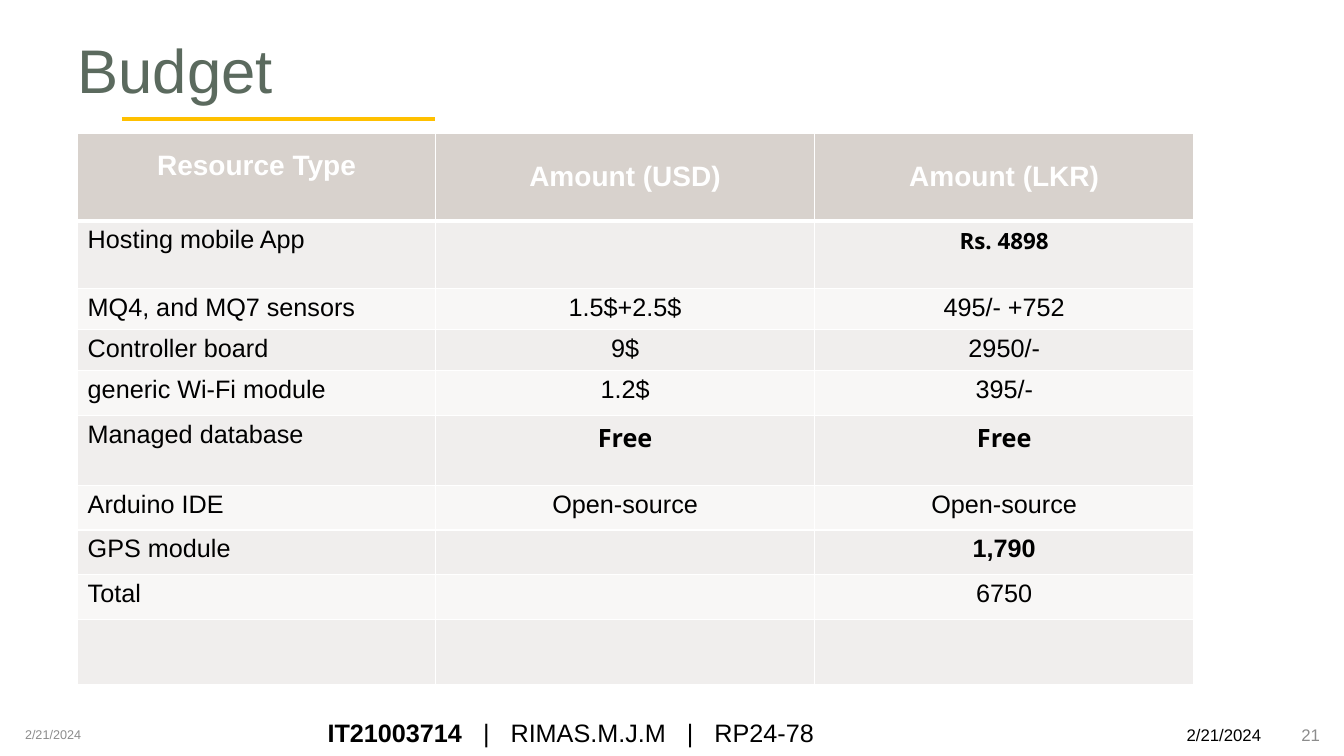
"""Build the budget slide with its cost table and footer."""
from dataclasses import dataclass

from lxml.etree import SubElement
from pptx import Presentation
from pptx.dml.color import RGBColor as RGB
from pptx.enum.shapes import MSO_CONNECTOR as Connector
from pptx.enum.text import MSO_ANCHOR as Anchor, PP_ALIGN as Align
from pptx.oxml.ns import qn
from pptx.util import Inches, Pt


@dataclass(frozen=True)
class Theme:
    font: str = "Arial"
    accent_font: str = "Open Sans"
    title: str = "5B6A5E"
    ink: str = "000000"
    muted: str = "8C8C8C"
    white: str = "FFFFFF"
    rule: str = "FFC000"
    header: str = "D8D2CD"
    bands: tuple = ("F0EEED", "F8F7F6")
    title_size: int = 44
    header_size: int = 20
    body_size: int = 18
    price_size: int = 16
    small_size: int = 12
    tiny_size: int = 9


THEME = Theme()
TITLE = "Budget"
HEADERS = ("Resource Type", "Amount (USD)", "Amount (LKR)")
COSTS = [
    ("Hosting mobile App", "", "Rs. 4898"),
    ("MQ4, and MQ7 sensors", "1.5$+2.5$", "495/- +752"),
    ("Controller board", "9$", "2950/-"),
    ("generic Wi-Fi module", "1.2$", "395/-"),
    ("Managed database", "Free", "Free"),
    ("Arduino IDE", "Open-source", "Open-source"),
    ("GPS module", "", "1,790"),
    ("Total", "", "6750"),
    ("", "", ""),
]
EMPHASIS = {
    "Rs. 4898": (THEME.accent_font, THEME.price_size),
    "Free": (THEME.accent_font, THEME.body_size),
    "1,790": (THEME.font, THEME.body_size),
}
DATE = "2/21/2024"
PAGE = "21"
STUDENT = "IT21003714"
DETAILS = "   |   RIMAS.M.J.M   |   RP24-78"
COLUMN_WIDTHS = (3.55, 3.76, 3.76)
ROW_HEIGHTS = (0.87, 0.67, 0.41, 0.41, 0.44, 0.7, 0.44, 0.44, 0.45, 0.64)
TABLE_LEFT, TABLE_TOP = 0.77, 1.32


def style(run, size, color, bold=False, font=THEME.font):
    run.font.name = font
    run.font.size = Pt(size)
    run.font.bold = bold
    run.font.color.rgb = RGB.from_string(color)


def add_label(slide, box, text, size, color, anchor=Anchor.MIDDLE, align=Align.LEFT, bold=False):
    label = slide.shapes.add_textbox(*map(Inches, box))
    frame = label.text_frame
    frame.word_wrap = True
    frame.vertical_anchor = anchor
    frame.text = text
    line = frame.paragraphs[0]
    line.alignment = align
    style(line.runs[0], size, color, bold)
    return frame


def set_borders(cell, bottom_width):
    properties = cell._tc.get_or_add_tcPr()
    widths = (("a:lnL", 1), ("a:lnR", 1), ("a:lnT", 1), ("a:lnB", bottom_width))
    for position, (side, width) in enumerate(widths):
        border = SubElement(properties, qn(side), w=str(Pt(width)))
        fill = SubElement(border, qn("a:solidFill"))
        SubElement(fill, qn("a:srgbClr"), val=THEME.white)
        properties.insert(position, border)


def fill_cell(cell, text, row, column):
    is_header = row == 0
    cell.fill.solid()
    color = THEME.header if is_header else THEME.bands[(row - 1) % 2]
    cell.fill.fore_color.rgb = RGB.from_string(color)
    set_borders(cell, 3 if is_header else 1)
    cell.vertical_anchor = Anchor.MIDDLE if is_header else Anchor.TOP
    if not text:
        return
    cell.text_frame.text = text
    line = cell.text_frame.paragraphs[0]
    line.alignment = Align.CENTER if is_header or column else Align.LEFT
    if is_header:
        style(line.runs[0], THEME.header_size, THEME.white, True)
    else:
        font, size = EMPHASIS.get(text, (THEME.font, THEME.body_size))
        style(line.runs[0], size, THEME.ink, text in EMPHASIS, font)


def add_budget(slide):
    rows = [HEADERS, *COSTS]
    box = (TABLE_LEFT, TABLE_TOP, sum(COLUMN_WIDTHS), sum(ROW_HEIGHTS))
    budget = slide.shapes.add_table(len(rows), len(HEADERS), *map(Inches, box)).table
    for column, width in zip(budget.columns, COLUMN_WIDTHS):
        column.width = Inches(width)
    for row, height in zip(budget.rows, ROW_HEIGHTS):
        row.height = Inches(height)
    for row, texts in enumerate(rows):
        for column, text in enumerate(texts):
            fill_cell(budget.cell(row, column), text, row, column)
    budget.cell(0, 0).margin_bottom = Inches(0.27)


def add_title(slide):
    frame = add_label(slide, (TABLE_LEFT, 0.39, 11.48, 0.67), TITLE, THEME.title_size, THEME.title)
    frame.margin_left = frame.margin_right = frame.margin_top = frame.margin_bottom = 0
    frame.paragraphs[0].line_spacing = 0.9


def add_footer(slide):
    student = add_label(slide, (3.15, 7.07, 7.45, 0.4), STUDENT, THEME.body_size, THEME.ink, bold=True)
    details = student.paragraphs[0].add_run()
    details.text = DETAILS
    style(details, THEME.body_size, THEME.ink)
    add_label(slide, (0.15, 7.09, 3, 0.4), DATE, THEME.tiny_size, THEME.muted)
    add_label(slide, (10.19, 7.09, 3, 0.4), PAGE, THEME.small_size, THEME.muted, align=Align.RIGHT)


def add_rule(slide):
    ends = map(Inches, (1.21, 1.18, 4.31, 1.18))
    rule = slide.shapes.add_connector(Connector.STRAIGHT, *ends)
    rule.line.color.rgb = RGB.from_string(THEME.rule)
    rule.line.width = Pt(2.25)
    SubElement(rule._element.spPr, qn("a:effectLst"))


def main():
    deck = Presentation()
    deck.slide_width, deck.slide_height = Inches(13.33), Inches(7.5)
    slide = deck.slides.add_slide(deck.slide_layouts[6])
    add_title(slide)
    add_label(slide, (11.67, 7.14, 1.66, 0.3), DATE, THEME.small_size, THEME.ink, Anchor.TOP)
    add_budget(slide)
    add_footer(slide)
    add_rule(slide)
    deck.save("out.pptx")


if __name__ == "__main__":
    main()
